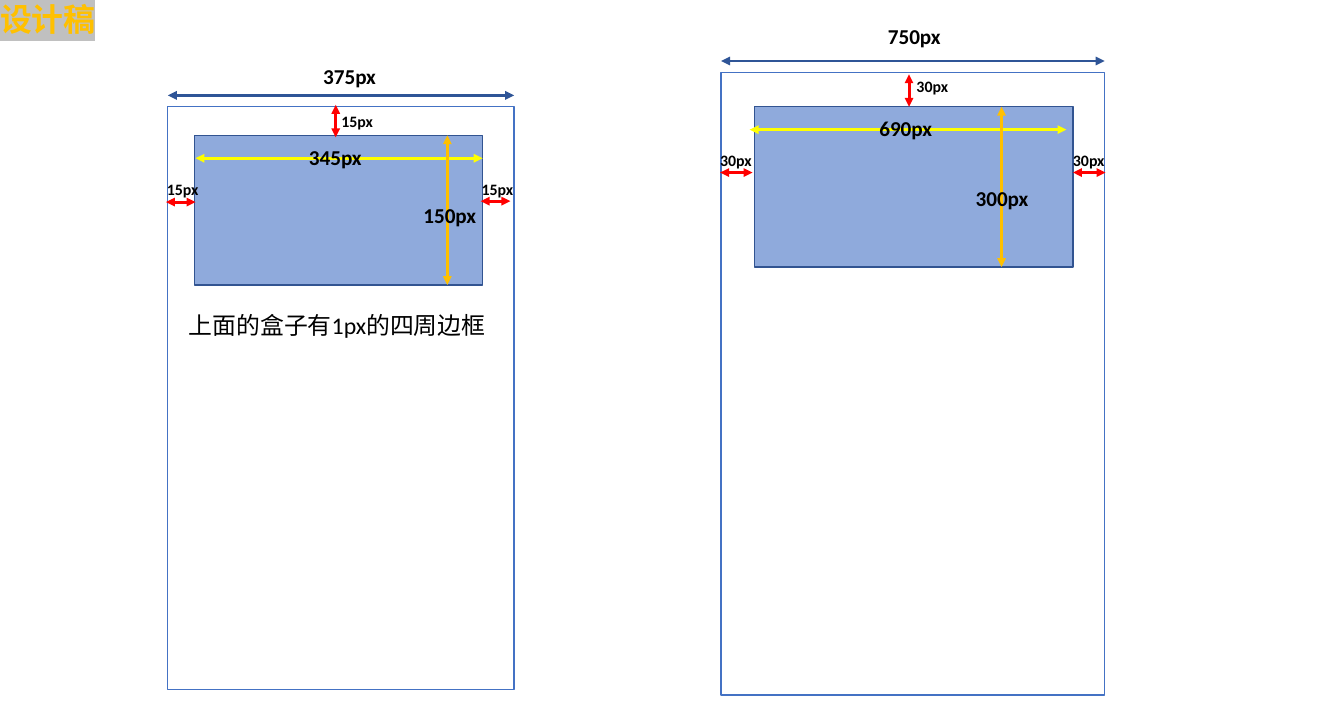
"""Build a slide comparing a 375px and a 750px layout draft."""
from lxml import etree
from pptx import Presentation, util as u
from pptx.dml.color import RGBColor
from pptx.enum import shapes, text
from pptx.oxml.ns import qn

TITLE = ("设计稿", (-0.1, -0.05, 4.33, 0.5))
CAPTION = ("上面的盒子有1px的四周边框", (1.88, 3.21, 3.34, 0.4))
PANELS = [
    {
        "frame": (1.76, 1.12, 3.63, 6.11),
        "box": (2.04, 1.42, 3.02, 1.57),
        "inner": (2.05, 5.06),
        "height_x": 4.69,
        "gap": 0.31,
        "sides": [(1.74, 2.12), (5.04, 2.11)],
        "top_gap": (3.52, 1.1, 0.34),
        "labels": {
            "outer": ("375px", 3.29, 0.62, 0.77),
            "inner": ("345px", 3.14, 1.47, 0.92),
            "height": ("150px", 4.34, 2.07, 0.92),
        },
        "gap_text": "15px",
        "gap_labels": [(1.65, 1.84), (4.95, 1.84), (3.48, 1.12)],
        "gap_width": 0.55,
    },
    {
        "frame": (7.56, 0.76, 4.02, 6.53),
        "box": (7.91, 1.12, 3.34, 1.68),
        "inner": (7.86, 11.18),
        "height_x": 10.5,
        "gap": 0.34,
        "sides": [(7.55, 1.81), (11.25, 1.81)],
        "top_gap": (9.53, 0.78, 0.34),
        "labels": {
            "outer": ("750px", 9.21, 0.2, 0.85),
            "inner": ("690px", 9.12, 1.16, 1.02),
            "height": ("300px", 10.13, 1.9, 1.02),
        },
        "gap_text": "30px",
        "gap_labels": [(7.45, 1.53), (11.15, 1.53), (9.51, 0.76)],
        "gap_width": 0.61,
    },
]
THEME = {
    "font": "Calibri",
    "ink": "000000",
    "title": "FFC000",
    "highlight": "C0C0C0",
    "frame": "4472C4",
    "box": "8FAADC",
    "box_line": "325491",
    "outer": "2F5597",
    "inner": "FFFF00",
    "height": "FFC000",
    "gap": "FF0000",
    "title_size": 24,
    "caption_size": 18,
    "label_size": 16,
    "gap_size": 12,
    "thin": 1,
    "thick": 2.25,
}


def color(name):
    return RGBColor.from_string(THEME[name])


def write(box, words, size, ink="ink", bold=True):
    frame = box.text_frame
    settings = {
        "word_wrap": True,
        "auto_size": text.MSO_AUTO_SIZE.NONE,
        "vertical_anchor": text.MSO_ANCHOR.TOP,
    }
    for name, value in settings.items():
        setattr(frame, name, value)
    para = frame.paragraphs[0]
    para.alignment = text.PP_ALIGN.LEFT
    span = para.add_run()
    span.text = words
    span.font.color.rgb = color(ink)
    formats = {"name": THEME["font"], "size": u.Pt(THEME[size]), "bold": bold}
    for name, value in formats.items():
        setattr(span.font, name, value)
    return span


def add_title(page):
    words, place = TITLE
    title = page.shapes.title
    for name, value in zip(("left", "top", "width", "height"), place):
        setattr(title, name, u.Inches(value))
    span = write(title, words, "title_size", "title")
    fill = span.font._element.find(qn("a:solidFill"))
    highlight = etree.Element(qn("a:highlight"))
    etree.SubElement(highlight, qn("a:srgbClr"), val=THEME["highlight"])
    fill.addnext(highlight)


def add_label(page, words, place, size, bold=True):
    box = page.shapes.add_textbox(*map(u.Inches, place))
    write(box, words, size, bold=bold)


def add_rectangle(page, place, line, fill=None):
    shape = page.shapes.add_shape(shapes.MSO_SHAPE.RECTANGLE, *map(u.Inches, place))
    shape.shadow.inherit = False
    shape.line.color.rgb = color(line)
    shape.line.width = u.Pt(THEME["thin"])
    if fill:
        shape.fill.solid()
        shape.fill.fore_color.rgb = color(fill)
    else:
        shape.fill.background()


def add_arrow(page, kind, ends):
    arrow = page.shapes.add_connector(shapes.MSO_CONNECTOR.STRAIGHT, *map(u.Inches, ends))
    arrow.line.color.rgb = color(kind)
    arrow.line.width = u.Pt(THEME["thick"])
    line = arrow.line._get_or_add_ln()
    for end in ("a:headEnd", "a:tailEnd"):
        etree.SubElement(line, qn(end), type="triangle")
    etree.SubElement(arrow._element.spPr, qn("a:effectLst"))


def add_panel(page, panel):
    left, top, width, _ = panel["frame"]
    _, box_top, _, box_height = panel["box"]
    start, end = panel["inner"]
    column = panel["height_x"]
    outer_y, inner_y = top - 0.12, box_top + 0.24
    spans = {
        "outer": (left, outer_y, left + width, outer_y),
        "inner": (start, inner_y, end, inner_y),
        "height": (column, box_top, column, box_top + box_height),
    }
    add_rectangle(page, panel["frame"], "frame")
    add_rectangle(page, panel["box"], "box_line", "box")
    for kind, ends in spans.items():
        words, *place = panel["labels"][kind]
        add_arrow(page, kind, ends)
        add_label(page, words, (*place, 0.37), "label_size")

    gaps = [(x, y, x + panel["gap"], y) for x, y in panel["sides"]]
    x, y, length = panel["top_gap"]
    gaps.append((x, y, x, y + length))
    for ends, corner in zip(gaps, panel["gap_labels"]):
        add_arrow(page, "gap", ends)
        add_label(page, panel["gap_text"], (*corner, panel["gap_width"], 0.3), "gap_size")


def main():
    deck = Presentation()
    deck.slide_width, deck.slide_height = u.Inches(14.09), u.Inches(7.5)
    page = deck.slides.add_slide(deck.slide_layouts.get_by_name("Title Only"))
    add_title(page)
    for panel in PANELS:
        add_panel(page, panel)
    add_label(page, *CAPTION, "caption_size", bold=False)
    deck.save("out.pptx")


if __name__ == "__main__":
    main()
